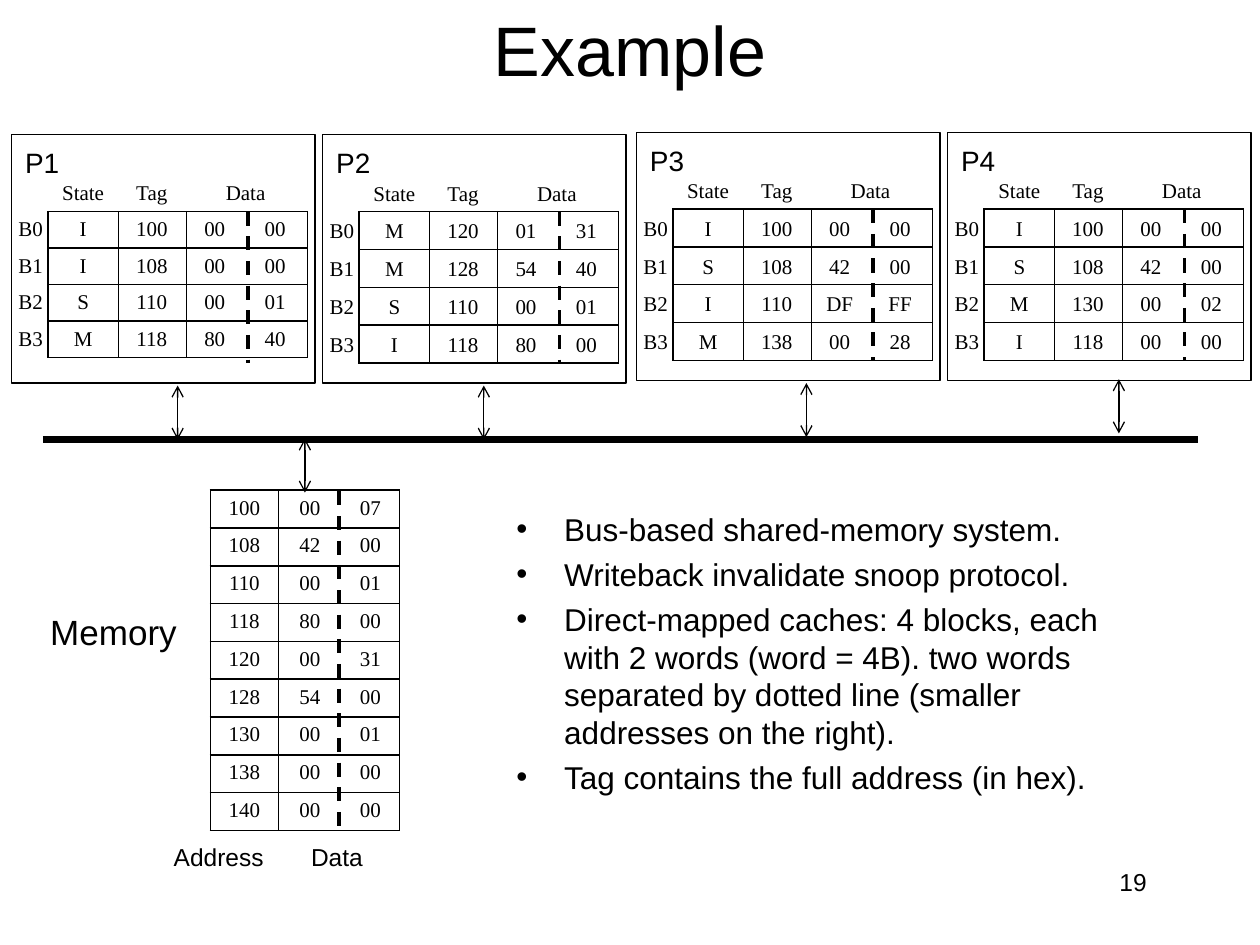
"""Build the slide showing four snooping caches, a shared bus and memory."""
from lxml import etree
from pptx import Presentation
from pptx.dml.color import RGBColor
from pptx.enum.dml import MSO_LINE
from pptx.enum.shapes import MSO_CONNECTOR, MSO_SHAPE
from pptx.enum.text import MSO_ANCHOR, PP_ALIGN
from pptx.oxml import parse_xml
from pptx.oxml.ns import nsdecls, qn
from pptx.util import Inches, Pt

LEFT, CENTER, RIGHT = PP_ALIGN.LEFT, PP_ALIGN.CENTER, PP_ALIGN.RIGHT
TOP, MIDDLE = MSO_ANCHOR.TOP, MSO_ANCHOR.MIDDLE
RECTANGLE = MSO_SHAPE.RECTANGLE
STRAIGHT = MSO_CONNECTOR.STRAIGHT
DASH = MSO_LINE.DASH
BLACK, WHITE = "000000", "FFFFFF"
NO_TABLE_STYLE = "{2D5ABB26-0587-4C30-8999-92F81FD0307C}"
BORDER = (
    '<a:{side} {namespace} w="12700"><a:solidFill><a:srgbClr val="'
    + BLACK + '"/></a:solidFill></a:{side}>'
)

color = RGBColor.from_string

presentation = Presentation()
presentation.slide_width = Inches(10)
presentation.slide_height = Inches(7.5)
slide = presentation.slides.add_slide(presentation.slide_layouts[6])
shapes = slide.shapes


def add_table(left, top, columns, row_height, rows, anchor=MIDDLE, bordered=False):
    """Add a table of centred serif text."""
    frame = shapes.add_table(
        len(rows), len(columns), Inches(left), Inches(top),
        Inches(sum(columns)), Inches(row_height * len(rows)))
    frame._element.xpath(".//a:tableStyleId")[0].text = NO_TABLE_STYLE
    table = frame.table
    table.first_row = table.horz_banding = False
    for column, width in zip(table.columns, columns):
        column.width = Inches(width)
    for row, values in zip(table.rows, rows):
        row.height = Inches(row_height)
        for cell, value in zip(row.cells, values):
            cell.vertical_anchor = anchor
            cell.margin_left = cell.margin_right = Inches(0.04)
            cell.margin_top = Inches(0.05 if anchor == TOP else 0)
            cell.margin_bottom = 0
            if bordered:
                properties = cell._tc.get_or_add_tcPr()
                for side in ("lnL", "lnR", "lnT", "lnB"):
                    properties.append(parse_xml(
                        BORDER.format(side=side, namespace=nsdecls("a"))))
            cell.fill.background()
            paragraph = cell.text_frame.paragraphs[0]
            if value:
                paragraph.alignment = RIGHT if value.startswith("B") else CENTER
                run = paragraph.add_run()
                run.text = value
                run.font.name = "Times New Roman"
                run.font.size = Pt(12)
                run.font.color.rgb = color(BLACK)
            else:
                etree.SubElement(paragraph._p, qn("a:endParaRPr"), sz="1200")
    return table


def add_line(x1, y1, x2, y2, width, dashed=False, arrows=False):
    """Add a black line, dashed or with two arrowheads if asked."""
    line = shapes.add_connector(STRAIGHT, Inches(x1), Inches(y1), Inches(x2), Inches(y2))
    line.line.color.rgb = color(BLACK)
    line.line.width = Pt(width)
    if dashed:
        line.line.dash_style = DASH
    if arrows:
        for end in ("a:headEnd", "a:tailEnd"):
            etree.SubElement(line.line._get_or_add_ln(), qn(end), type="arrow")
    etree.SubElement(line._element.spPr, qn("a:effectLst"))


processors = [
    ("P1", 0.09, 1.07, 0.29, ["I 100 00 00", "I 108 00 00", "S 110 00 01", "M 118 80 40"]),
    ("P2", 2.56, 1.07, 0.3, ["M 120 01 31", "M 128 54 40", "S 110 00 01", "I 118 80 00"]),
    ("P3", 5.05, 1.05, 0.3, ["I 100 00 00", "S 108 42 00", "I 110 DF FF", "M 138 00 28"]),
    ("P4", 7.52, 1.05, 0.3, ["I 100 00 00", "S 108 42 00", "M 130 00 02", "I 118 00 00"]),
]
labels = [
    ("Example", 0.75, 0, 8.5, 0.77, 40, CENTER, MIDDLE, True),
    ("19", 7.17, 6.83, 2.03, 0.5, 14, RIGHT, TOP, True),
    ("Memory", 0.3, 4.8, 1.21, 0.44, 20, LEFT, TOP, False),
    ("Address\tData", 1.28, 6.63, 1.72, 0.34, 14, LEFT, TOP, False),
]

for name, left, top, row_height, blocks in processors:
    panel = shapes.add_shape(RECTANGLE, Inches(left), Inches(top), Inches(2.41), Inches(1.97))
    panel.shadow.inherit = False
    panel.fill.solid()
    panel.fill.fore_color.rgb = color(WHITE)
    panel.line.color.rgb = color(BLACK)
    panel.line.width = Pt(0.75)
    add_table(left + 0.29, top + 0.61, [0.56, 0.54, 0.96], row_height,
              [[""] * 3] * 4, bordered=True)
    rows = [["", "State", "Tag", "Data", ""]]
    rows += [[f"B{index}"] + block.split() for index, block in enumerate(blocks)]
    cache = add_table(left - 0.12, top + 0.32, [0.41, 0.56, 0.53, 0.47, 0.49], row_height, rows)
    cache.cell(0, 3).merge(cache.cell(0, 4))
    add_line(left + 1.88, top + 0.61, left + 1.88, top + 1.81, 0, dashed=True)
    labels.append((name, left + 0.01, top + 0.04, 0.48, 0.37, 16, LEFT, TOP, False))

memory = ["100 00 07", "108 42 00", "110 00 01", "118 80 00", "120 00 31",
          "128 54 00", "130 00 01", "138 00 00", "140 00 00"]
memory = [line.split() for line in memory]
add_table(1.67, 3.89, [0.54, 0.96], 0.3, [[row[0], ""] for row in memory], TOP, True)
add_line(2.69, 3.9, 2.69, 6.61, 0, dashed=True)
add_line(0.34, 3.49, 9.51, 3.49, 4)
for x, top in [(1.41, 3.06), (3.84, 3.06), (6.4, 3.04), (8.88, 3.01), (2.42, 3.48)]:
    add_line(x, top, x, top + 0.43, 0.75, arrows=True)
add_table(2.22, 3.89, [0.48, 0.48], 0.3, [row[1:] for row in memory], TOP)

for text, left, top, width, height, size, alignment, anchor, wrap in labels:
    box = shapes.add_textbox(Inches(left), Inches(top), Inches(width), Inches(height))
    box.text_frame.word_wrap = wrap
    box.text_frame.vertical_anchor = anchor
    paragraph = box.text_frame.paragraphs[0]
    paragraph.alignment = alignment
    if "\t" in text:
        tabs = etree.SubElement(paragraph._p.get_or_add_pPr(), qn("a:tabLst"))
        etree.SubElement(tabs, qn("a:tab"), pos=str(Inches(1.09)), algn="l")
    run = paragraph.add_run()
    run.text = text
    run.font.name = "Arial"
    run.font.size = Pt(size)
    run.font.color.rgb = color(BLACK)

bullets = [
    "Bus-based shared-memory system.",
    "Writeback invalidate snoop protocol.",
    "Direct-mapped caches: 4 blocks, each with 2 words (word = 4B). two words "
    "separated by dotted line (smaller addresses on the right).",
    "Tag contains the full address (in hex).",
]
body = shapes.add_textbox(Inches(4), Inches(4), Inches(5.27), Inches(2.93))
body.text_frame.word_wrap = True
for index, text in enumerate(bullets):
    paragraph = body.text_frame.add_paragraph() if index else body.text_frame.paragraphs[0]
    properties = paragraph._p.get_or_add_pPr()
    properties.set("marL", str(Inches(0.38)))
    properties.set("indent", str(Inches(-0.38)))
    etree.SubElement(properties, qn("a:buFont"), typeface="Arial")
    etree.SubElement(properties, qn("a:buChar"), char="•")
    if index:
        paragraph.space_before = Pt(4)
    run = paragraph.add_run()
    run.text = text
    run.font.name = "Arial"
    run.font.size = Pt(18)
    run.font.color.rgb = color(BLACK)

presentation.save("out.pptx")
